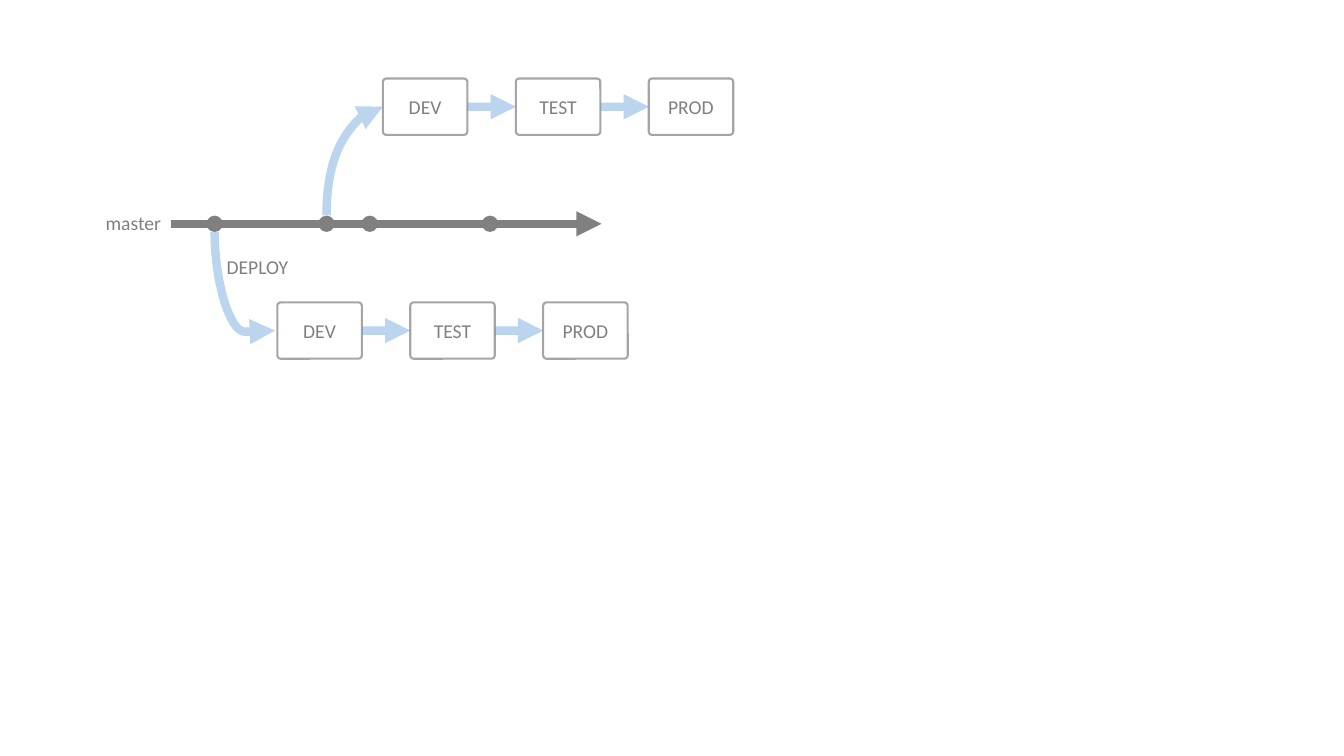
from pptx import Presentation
from pptx.dml.color import RGBColor
from pptx.enum.shapes import MSO_CONNECTOR as Link, MSO_SHAPE as Shape
from pptx.enum.text import MSO_ANCHOR as Anchor, MSO_AUTO_SIZE as AutoSize, PP_ALIGN as Align
from pptx.oxml.ns import qn
from pptx.util import Cm, Pt
from lxml.etree import SubElement

COLORS = {"gray": "808080", "border": "A5A5A5", "blue": "5B9BD5", "white": "FFFFFF"}


def style_arrow(arrow, color, opacity=100):
    arrow.line.width = Pt(6)
    arrow.line.color.rgb = RGBColor.from_string(COLORS[color])
    properties = arrow._element.spPr
    line = properties.find(qn("a:ln"))
    if opacity < 100:
        tint = line.find(qn("a:solidFill"))[0]
        SubElement(tint, qn("a:alpha")).set("val", str(opacity * 1000))
    SubElement(line, qn("a:tailEnd")).set("type", "triangle")
    SubElement(properties, qn("a:effectLst"))


def write_label(shape, text):
    shape.text_frame.text = text
    para = shape.text_frame.paragraphs[0]
    font = para.runs[0].font
    font.name = "Calibri"
    font.size = Pt(14)
    font.color.rgb = RGBColor.from_string(COLORS["gray"])
    return para


deck = Presentation()
deck.slide_width, deck.slide_height = Cm(33.87), Cm(19.05)
page = deck.slides.add_slide(deck.slide_layouts[6])
shapes = page.shapes

master_y, dot_size = 5.64, 0.41
master = shapes.add_connector(Link.STRAIGHT, Cm(4.32), Cm(master_y), Cm(15.16), Cm(master_y))
style_arrow(master, "gray")

for center in (5.41, 8.23, 9.32, 12.35):
    commit = shapes.add_shape(Shape.OVAL, Cm(center - dot_size / 2), Cm(master_y - dot_size / 2),
                              Cm(dot_size), Cm(dot_size))
    commit.shadow.inherit = False
    commit.fill.solid()
    commit.fill.fore_color.rgb = RGBColor.from_string(COLORS["gray"])
    commit.line.fill.background()

branches = [
    ((5.41, 5.84), (6.93, 8.33), 270, "curvedConnector3"),
    ((8.23, 5.43), (9.65, 2.69), 90, "curvedConnector2"),
]
for (x1, y1), (x2, y2), angle, preset in branches:
    middle_x, middle_y = (x1 + x2) / 2, (y1 + y2) / 2
    half_width, half_height = abs(y2 - y1) / 2, (x2 - x1) / 2
    if angle == 90:
        half_height = -half_height
    branch = shapes.add_connector(Link.CURVE, Cm(middle_x + half_width), Cm(middle_y - half_height),
                                  Cm(middle_x - half_width), Cm(middle_y + half_height))
    properties = branch._element.spPr
    properties.find(qn("a:xfrm")).set("rot", str(angle * 60000))
    geometry = properties.find(qn("a:prstGeom"))
    geometry.set("prst", preset)
    if preset == "curvedConnector3":
        guide = SubElement(geometry.find(qn("a:avLst")), qn("a:gd"))
        guide.set("name", "adj1")
        guide.set("fmla", "val 101200")
    style_arrow(branch, "blue", 41)

box_width, box_height, pitch = 2.13, 1.42, 3.35
for left, top in ((6.99, 7.62), (9.65, 1.98)):
    stages = []
    for index, name in enumerate(("DEV", "TEST", "PROD")):
        stage = shapes.add_shape(Shape.ROUNDED_RECTANGLE, Cm(left + index * pitch), Cm(top),
                                 Cm(box_width), Cm(box_height))
        stage.adjustments[0] = 0.06
        stage.shadow.inherit = False
        stage.fill.solid()
        stage.fill.fore_color.rgb = RGBColor.from_string(COLORS["white"])
        stage.line.color.rgb = RGBColor.from_string(COLORS["border"])
        stage.line.width = Pt(1.5)
        stage.text_frame.vertical_anchor = Anchor.MIDDLE
        write_label(stage, name).alignment = Align.CENTER
        stages.append(stage)
    for source, target in zip(stages, stages[1:]):
        step = shapes.add_connector(Link.STRAIGHT, 0, 0, 0, 0)
        step.begin_connect(source, 3)
        step.end_connect(target, 1)
        style_arrow(step, "blue", 41)

for text, left, top, width in (("master", 2.41, 5.18, 1.93), ("DEPLOY", 5.46, 6.3, 2.08)):
    box = shapes.add_textbox(Cm(left), Cm(top), Cm(width), Cm(0.86))
    box.text_frame.word_wrap = False
    box.text_frame.auto_size = AutoSize.SHAPE_TO_FIT_TEXT
    write_label(box, text)

deck.save("out.pptx")
